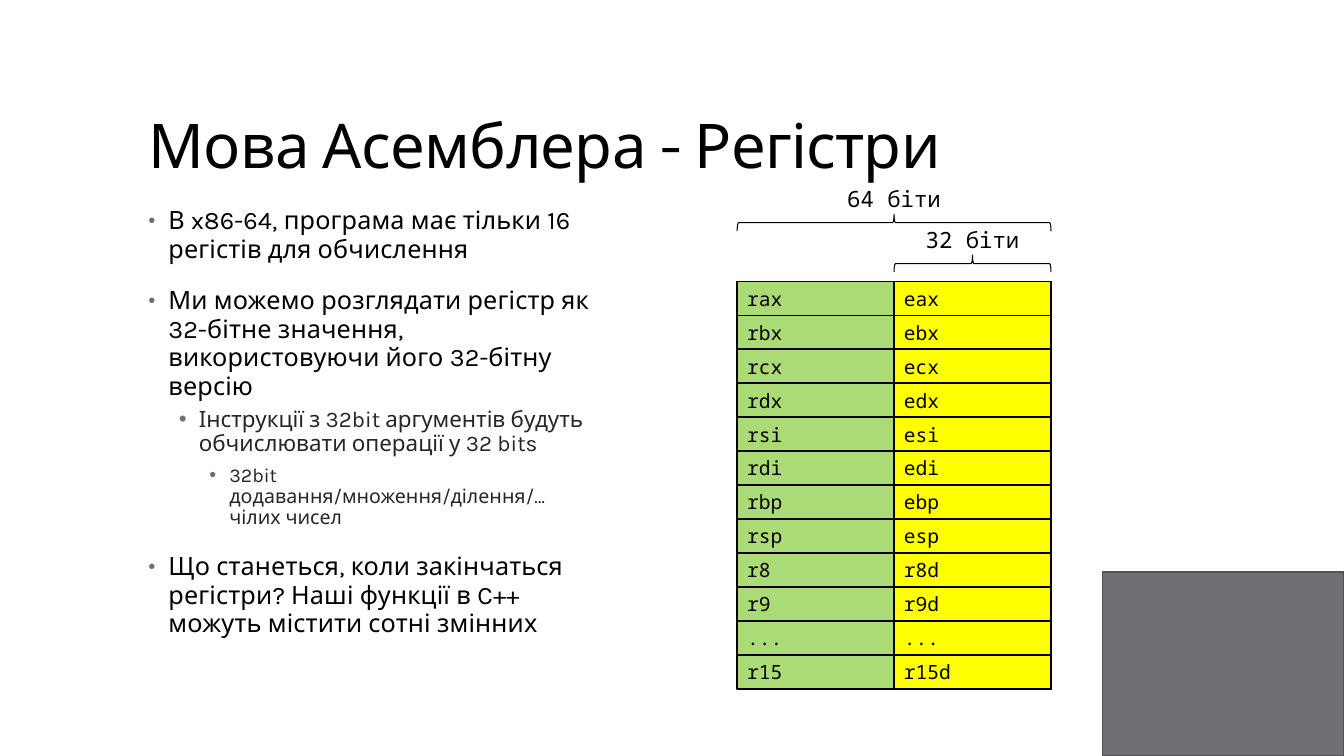
from lxml.etree import SubElement
from pptx import Presentation
from pptx.dml.color import RGBColor
from pptx.enum.shapes import MSO_SHAPE
from pptx.enum.text import MSO_ANCHOR, PP_ALIGN
from pptx.oxml.ns import qn
from pptx.util import Emu, Pt

PX = 9525
SANS = "Karla"
MONO = "Noto Sans Mono"
BLACK = "000000"
GRAY = "6F6F74"
GREEN = "ABDB77"
YELLOW = "FFFF00"

REGISTERS = [
    ("rax", "eax"), ("rbx", "ebx"), ("rcx", "ecx"), ("rdx", "edx"),
    ("rsi", "esi"), ("rdi", "edi"), ("rbp", "ebp"), ("rsp", "esp"),
    ("r8", "r8d"), ("r9", "r9d"), ("...", "..."), ("r15", "r15d"),
]
LEVELS = [
    {"size": 18, "color": BLACK, "tracking": 10, "indent": 19, "bullet": 80,
     "spacing": {"line_spacing": 0.95, "space_before": Pt(14), "space_after": Pt(2)}},
    {"size": 16, "color": "262626", "tracking": 0, "indent": 48, "bullet": 100,
     "spacing": {"line_spacing": 0.9, "space_before": Pt(3), "space_after": Pt(3)}},
    {"size": 14, "color": "262626", "tracking": 0, "indent": 77, "bullet": 100,
     "spacing": {"line_spacing": 0.9, "space_before": Pt(3), "space_after": Pt(3)}},
]
POINTS = [
    (0, "В x86-64, програма має тільки 16 регістів для обчислення"),
    (0, "Ми можемо розглядати регістр як 32-бітне значення, використовуючи його 32-бітну версію"),
    (1, "Інструкції з 32bit аргументів будуть обчислювати операції у 32 bits"),
    (2, "32bit додавання/множення/ділення/… чілих чисел"),
    (0, "Що станеться, коли закінчаться регістри? Наші функції в C++ можуть містити сотні змінних"),
]


def px(value):
    return Emu(round(value * PX))


def rgb(value):
    return RGBColor.from_string(value)


def apply(target, values):
    for name, value in values.items():
        setattr(target, name, value)


def add_span(para, text, font, size, color=BLACK, tracking=0):
    span = para.add_run()
    span.text = text
    apply(span.font, {"name": font, "size": Pt(size)})
    span.font.color.rgb = rgb(color)
    if tracking:
        span.font._element.set("spc", str(tracking))


def add_text_box(page, box, anchor=MSO_ANCHOR.TOP):
    frame = page.shapes.add_textbox(*map(px, box)).text_frame
    apply(frame, {"word_wrap": True, "vertical_anchor": anchor})
    return frame


def add_outline(page, kind, box, fill=None, line=BLACK, width=1.1):
    shape = page.shapes.add_shape(kind, *map(px, box))
    shape.shadow.inherit = False
    if fill:
        shape.fill.solid()
        shape.fill.fore_color.rgb = rgb(fill)
    else:
        shape.fill.background()
    shape.line.color.rgb = rgb(line)
    shape.line.width = Pt(width)
    return shape


def add_bullet(para, indent, percent):
    properties = para._p.get_or_add_pPr()
    properties.set("marL", str(px(indent)))
    properties.set("indent", str(-px(19)))
    color = SubElement(properties, qn("a:buClr"))
    SubElement(color, qn("a:srgbClr")).set("val", GRAY)
    SubElement(properties, qn("a:buSzPct")).set("val", str(percent * 1000))
    SubElement(properties, qn("a:buFont")).set("typeface", "Arial")
    SubElement(properties, qn("a:buChar")).set("char", "•")


def add_title(page, box):
    para = add_text_box(page, box, MSO_ANCHOR.BOTTOM).paragraphs[0]
    para.line_spacing = 0.9
    add_span(para, "Мова Асемблера - Регістри", SANS, 44, tracking=-50)


def add_points(page, box):
    frame = add_text_box(page, box)
    for number, (depth, text) in enumerate(POINTS):
        para = frame.add_paragraph() if number else frame.paragraphs[0]
        level = LEVELS[depth]
        para.level = depth
        add_bullet(para, level["indent"], level["bullet"])
        apply(para, level["spacing"])
        if not number:
            para.space_before = Pt(0)
        add_span(para, text, SANS, level["size"], level["color"], level["tracking"])


def add_cell(page, box, text, fill):
    cell = add_outline(page, MSO_SHAPE.RECTANGLE, box, fill)
    apply(cell.text_frame, {"vertical_anchor": MSO_ANCHOR.MIDDLE, "word_wrap": True})
    para = cell.text_frame.paragraphs[0]
    para.alignment = PP_ALIGN.LEFT
    add_span(para, text, MONO, 14)


def add_registers(page, box):
    left, top, width, height = box
    row = height / len(REGISTERS)
    half = width / 2
    for number, (full, low) in enumerate(REGISTERS):
        row_top = top + number * row
        add_cell(page, (left, row_top, width, row), full, GREEN)
        add_cell(page, (left + half, row_top, half, row), low, YELLOW)


def add_span_brace(page, box, text):
    left, top, width, height = box
    middle = left + width / 2
    upright = (middle - height / 2, top + height / 2 - width / 2, height, width)
    brace = add_outline(page, MSO_SHAPE.RIGHT_BRACE, upright, width=0.75)
    brace.rotation = 270
    para = add_text_box(page, (middle - 75, top - 32, 150, 36)).paragraphs[0]
    para.alignment = PP_ALIGN.CENTER
    add_span(para, text, MONO, 16)


def add_register_diagram(page, box):
    left, top, width, height = box
    add_registers(page, box)
    add_span_brace(page, (left + width / 2, top - 25, width / 2, 16), "32 біти")
    add_span_brace(page, (left, top - 64, width, 16), "64 біти")


def main():
    deck = Presentation()
    apply(deck, {"slide_width": px(1280), "slide_height": px(720)})
    page = deck.slides.add_slide(deck.slide_layouts[6])
    add_outline(page, MSO_SHAPE.RECTANGLE, (1050, 545, 230, 175), GRAY, "525256")
    add_title(page, (132, 38, 1018, 140))
    add_points(page, (132, 192, 446, 457))
    add_register_diagram(page, (702, 268, 299, 388))
    deck.save("out.pptx")


if __name__ == "__main__":
    main()
